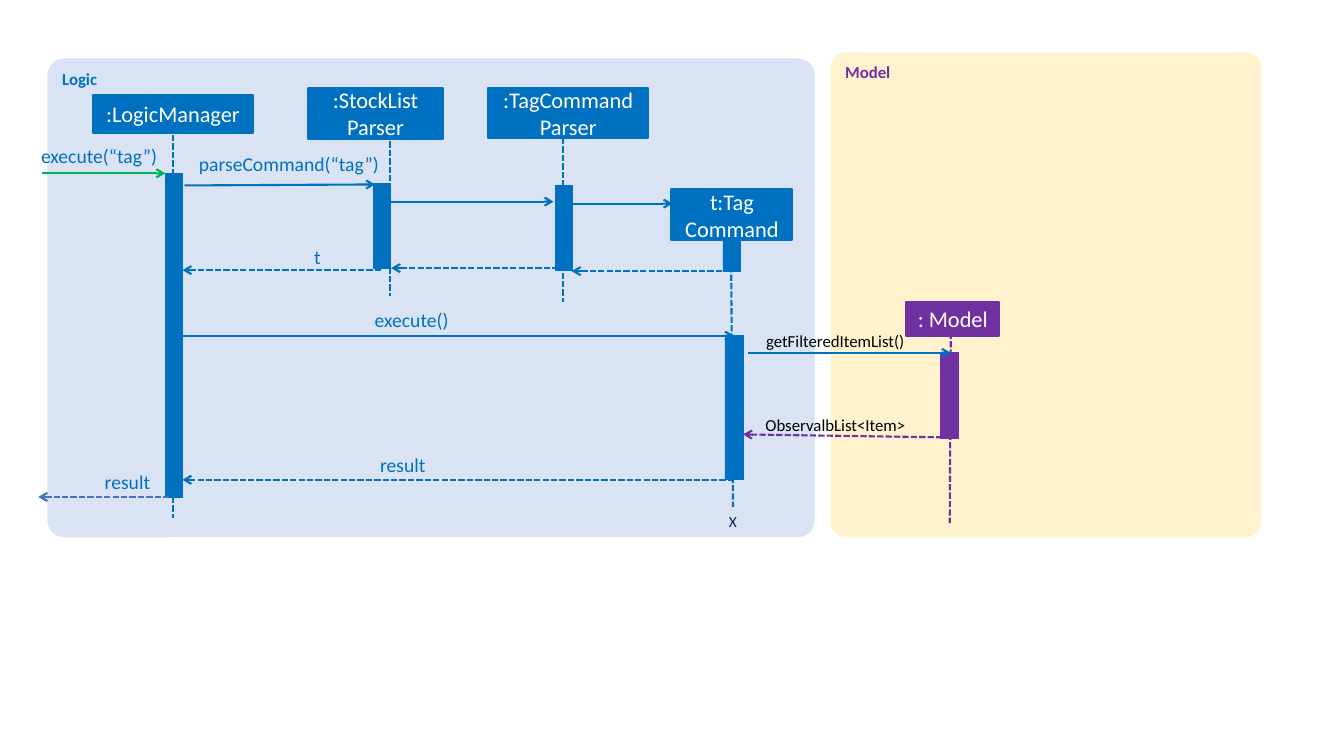
from dataclasses import dataclass

import lxml.etree
import pptx
import pptx.dml.color
import pptx.enum.dml
import pptx.enum.shapes
import pptx.enum.text
import pptx.oxml.ns
import pptx.util

SCALE = 9144
FONT = "Calibri"
INK = {
    "blue": "0070C0",
    "purple": "7030A0",
    "green": "00B050",
    "slate": "4472C4",
    "navy": "002060",
    "black": "000000",
    "white": "FFFFFF",
    "sky": "DAE3F3",
    "cream": "FFF2CC",
}
SHAPE = pptx.enum.shapes.MSO_SHAPE
ALIGN = pptx.enum.text.PP_ALIGN
ANCHOR = pptx.enum.text.MSO_ANCHOR


@dataclass
class Panel:
    name: str
    box: tuple[int, int, int, int]
    fill: str
    ink: str


@dataclass
class Head:
    name: str
    box: tuple[int, int, int, int]
    ink: str = "blue"


@dataclass
class Bar:
    box: tuple[int, int, int, int]
    ink: str = "blue"


@dataclass
class Line:
    start: tuple[int, int]
    end: tuple[int, int]
    ink: str = "blue"
    dash: bool = False
    arrow: bool = True


@dataclass
class Label:
    text: str
    box: tuple[int, int, int, int]
    size: int = 14
    ink: str = "blue"


PANELS = [
    Panel("Model", (824, 52, 427, 481), "cream", "purple"),
    Panel("Logic", (47, 58, 761, 475), "sky", "blue"),
]
HEADS = [
    Head(":LogicManager", (92, 94, 159, 38)),
    Head(":StockList\nParser", (306, 87, 133, 51)),
    Head(":TagCommand\nParser", (484, 87, 159, 50)),
    Head("t:Tag\vCommand", (666, 188, 120, 50)),
    Head(": Model", (899, 300, 92, 33), "purple"),
]
LIVES = [
    Line((172, 134), (172, 514), dash=True, arrow=False),
    Line((387, 132), (387, 294), dash=True, arrow=False),
    Line((558, 137), (558, 300), dash=True, arrow=False),
    Line((725, 239), (727, 503), dash=True, arrow=False),
    Line((943, 330), (942, 519), "purple", dash=True, arrow=False),
]
BARS = [
    Bar((164, 172, 17, 321)),
    Bar((370, 182, 17, 84)),
    Bar((551, 184, 17, 84)),
    Bar((717, 239, 17, 30)),
    Bar((719, 333, 18, 143)),
    Bar((933, 350, 18, 85), "purple"),
]
CALLS = [
    Line((42, 172), (164, 172), "green"),
    Line((183, 184), (372, 183)),
    Line((388, 200), (549, 200)),
    Line((567, 202), (667, 202)),
    Line((181, 333), (728, 333)),
    Line((742, 350), (943, 350)),
]
REPLIES = [
    Line((733, 269), (567, 269), dash=True),
    Line((554, 266), (388, 266), dash=True),
    Line((378, 268), (181, 268), dash=True),
    Line((943, 434), (737, 431), "purple", dash=True),
    Line((728, 476), (181, 476), dash=True),
    Line((168, 493), (38, 493), "slate", dash=True),
]
LABELS = [
    Label("execute(“tag”)", (0, 143, 156, 24)),
    Label("parseCommand(“tag”)", (168, 151, 208, 24)),
    Label("t", (294, 243, 24, 24)),
    Label("execute()", (351, 306, 94, 24)),
    Label("result", (354, 449, 68, 24)),
    Label("result", (66, 466, 83, 24)),
    Label("getFilteredItemList()", (755, 328, 142, 20), 12, "black"),
    Label("ObservalbList<Item>", (756, 411, 142, 20), 12, "black"),
]


def px(*sizes: int) -> list[int]:
    return [pptx.util.Emu(size * SCALE) for size in sizes]


def tint(ink: str) -> pptx.dml.color.RGBColor:
    return pptx.dml.color.RGBColor.from_string(INK[ink])


def write(frame, text: str, *, size: int, ink: str, bold: bool = False,
          align=ALIGN.LEFT, anchor=ANCHOR.TOP, wrap: bool = True) -> None:
    frame.text = text
    frame.word_wrap = wrap
    frame.vertical_anchor = anchor
    for para in frame.paragraphs:
        para.alignment = align
        for run in para.runs:
            run.font.name = FONT
            run.font.size = pptx.util.Pt(size)
            run.font.bold = bold
            run.font.color.rgb = tint(ink)


def block(slide, kind, box: tuple[int, int, int, int], fill: str, edge: float = 0):
    shape = slide.shapes.add_shape(kind, *px(*box))
    shape.shadow.inherit = False
    shape.fill.solid()
    shape.fill.fore_color.rgb = tint(fill)
    if edge:
        shape.line.color.rgb = tint(fill)
        shape.line.width = pptx.util.Pt(edge)
    else:
        shape.line.fill.background()
    return shape


def panel(slide, item: Panel) -> None:
    shape = block(slide, SHAPE.ROUNDED_RECTANGLE, item.box, item.fill)
    shape.adjustments[0] = 0.035
    write(shape.text_frame, item.name, size=12, ink=item.ink, bold=True)


def head(slide, item: Head) -> None:
    shape = block(slide, SHAPE.RECTANGLE, item.box, item.ink, 1.5)
    write(shape.text_frame, item.name, size=16, ink="white",
          align=ALIGN.CENTER, anchor=ANCHOR.MIDDLE)


def line(slide, item: Line) -> None:
    kind = pptx.enum.shapes.MSO_CONNECTOR.STRAIGHT
    link = slide.shapes.add_connector(kind, *px(*item.start, *item.end))
    link.line.color.rgb = tint(item.ink)
    link.line.width = pptx.util.Pt(1.5)
    if item.dash:
        link.line.dash_style = pptx.enum.dml.MSO_LINE.SQUARE_DOT
    qn = pptx.oxml.ns.qn
    props = link._element.spPr
    if item.arrow:
        stroke = props.find(qn("a:ln"))
        lxml.etree.SubElement(stroke, qn("a:tailEnd"), type="arrow")
    lxml.etree.SubElement(props, qn("a:effectLst"))


def label(slide, item: Label) -> None:
    frame = slide.shapes.add_textbox(*px(*item.box)).text_frame
    frame.margin_left = frame.margin_right = 0
    frame.margin_top = frame.margin_bottom = 0
    write(frame, item.text, size=item.size, ink=item.ink, align=ALIGN.RIGHT)
    frame.auto_size = pptx.enum.text.MSO_AUTO_SIZE.SHAPE_TO_FIT_TEXT


def main() -> None:
    deck = pptx.Presentation()
    deck.slide_width, deck.slide_height = px(1333, 750)
    slide = deck.slides.add_slide(deck.slide_layouts[6])
    for item in PANELS:
        panel(slide, item)
    for item in LIVES:
        line(slide, item)
    for item in HEADS:
        head(slide, item)
    for item in BARS:
        block(slide, SHAPE.RECTANGLE, item.box, item.ink, 0.5)
    for item in CALLS + REPLIES:
        line(slide, item)
    for item in LABELS:
        label(slide, item)
    cross = slide.shapes.add_textbox(*px(713, 503, 28, 29))
    write(cross.text_frame, "X", size=11, ink="navy", wrap=False)
    deck.save("out.pptx")


if __name__ == "__main__":
    main()
